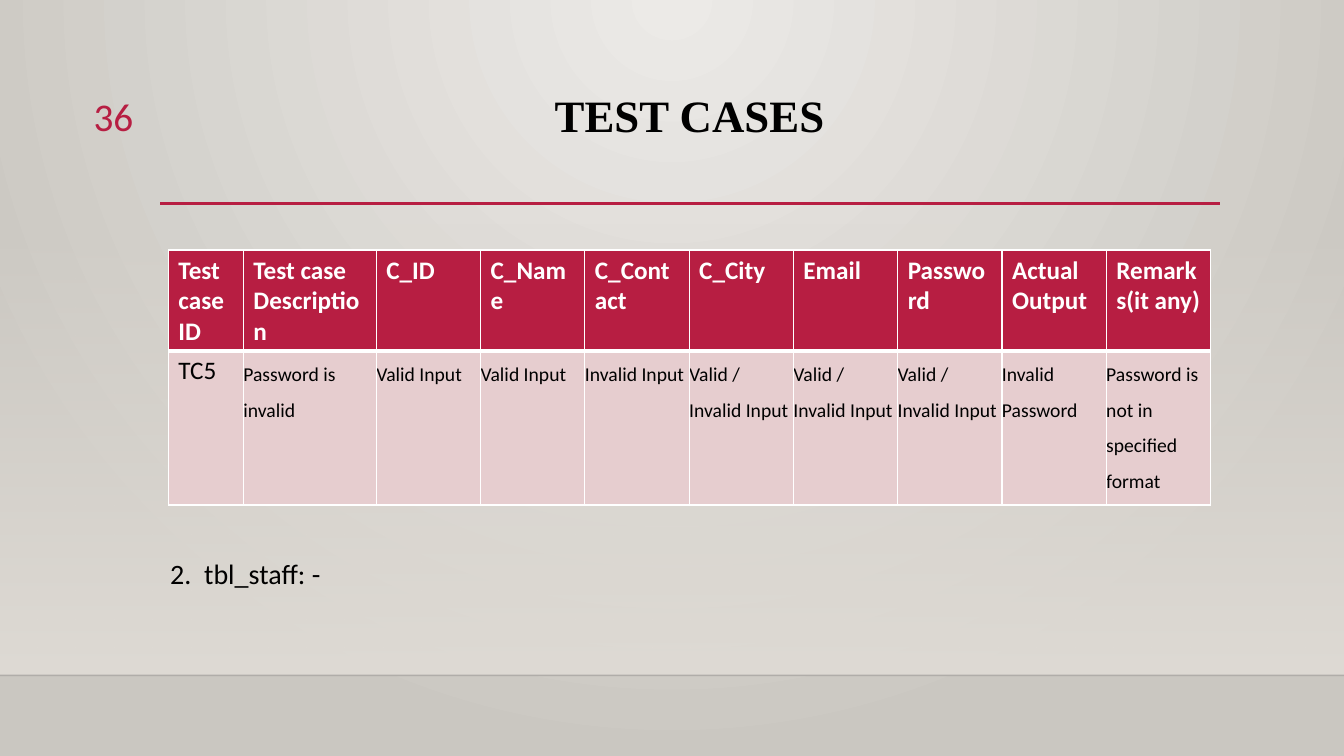
from pptx import Presentation
from pptx.dml.color import RGBColor
from pptx.enum.shapes import MSO_CONNECTOR, MSO_SHAPE
from pptx.enum.text import PP_ALIGN
from pptx.oxml import parse_xml
from pptx.oxml.ns import nsdecls
from pptx.util import Inches, Pt
from lxml.etree import SubElement

WIDTH, HEIGHT = Inches(13.33), Inches(7.5)
ACCENT, PALE, WHITE, BLACK = "B71E42", "E6CDCF", "FFFFFF", "000000"
HEADERS = ["Test case ID", "Test case Description", "C_ID", "C_Name", "C_Contact",
           "C_City", "Email", "Password", "Actual Output", "Remarks(it any)"]
RESULTS = ["TC5", "Password is invalid", "Valid Input", "Valid Input", "Invalid Input",
           *["Valid / Invalid Input"] * 3, "Invalid Password",
           "Password is not in specified format"]
COLUMNS = [5.58, 9.89] + [7.76] * 8
ROWS = [11.87, 20.4]


def across(share):
    return round(WIDTH * share / 100)


def down(share):
    return round(HEIGHT * share / 100)


def box(x, y, w, h):
    return across(x), down(y), across(w), down(h)


def color(value):
    return RGBColor.from_string(value)


def set_attributes(target, values):
    for name, value in values.items():
        setattr(target, name, value)


def set_gradient(solid, stops, direction):
    marks = "".join(
        f'<a:gs pos="{pos * 1000}"><a:srgbClr val="{value}">'
        f'<a:alpha val="{alpha * 1000}"/></a:srgbClr></a:gs>'
        for pos, value, alpha in stops)
    gradient = parse_xml(f'<a:gradFill {nsdecls("a")} rotWithShape="1">'
                         f'<a:gsLst>{marks}</a:gsLst>{direction}</a:gradFill>')
    solid.getparent().replace(solid, gradient)


def write(tf, text, font, align=PP_ALIGN.LEFT, spacing=1.0):
    tf.word_wrap = True
    p = tf.paragraphs[0]
    set_attributes(p, {"alignment": align, "line_spacing": spacing})
    r = p.add_run()
    r.text = text
    values = {"name": "Calibri", **font}
    r.font.color.rgb = color(values.pop("color"))
    set_attributes(r.font, values)


def add_text(s, place, text, font, **layout):
    write(s.shapes.add_textbox(*place).text_frame, text, font, **layout)


def add_line(s, x1, x2, y, value, width, opacity=100):
    line = s.shapes.add_connector(MSO_CONNECTOR.STRAIGHT, across(x1), down(y),
                                  across(x2), down(y))
    line.line.color.rgb = color(value)
    line.line.width = Pt(width)
    tint = line.element.xpath("./p:spPr/a:ln//a:srgbClr")[0]
    SubElement(tint, tint.tag.replace("srgbClr", "alpha"), val=str(opacity * 1000))
    line.element.spPr.append(parse_xml(f'<a:effectLst {nsdecls("a")}/>'))


def add_backdrop(s):
    s.background.fill.solid()
    s.background.fill.fore_color.rgb = color(WHITE)
    set_gradient(s.element.xpath(".//p:bgPr/a:solidFill")[0],
                 [(0, "ECEAE7", 100), (100, "CAC7C1", 100)],
                 '<a:path path="circle"><a:fillToRect l="43000" t="0" '
                 'r="43000" b="100000"/></a:path>')
    sp = s.shapes.add_shape(MSO_SHAPE.RECTANGLE, *box(0, 29.47, 100, 59.87))
    sp.shadow.inherit = False
    sp.line.fill.background()
    sp.fill.solid()
    sp.fill.fore_color.rgb = color(WHITE)
    set_gradient(sp.element.xpath("./p:spPr/a:solidFill")[0],
                 [(0, "DFDBD5", 0), (100, "DFDBD5", 100)],
                 '<a:lin ang="5400000" scaled="0"/>')


def set_borders(cell, widths):
    tcPr = cell._tc.get_or_add_tcPr()
    for index, (side, width) in enumerate(widths.items()):
        tcPr.insert(index, parse_xml(
            f'<a:ln{side} {nsdecls("a")} w="{Pt(width)}"><a:solidFill>'
            f'<a:srgbClr val="{WHITE}"/></a:solidFill></a:ln{side}>'))


def fill_cell(cell, text, fill, font, widths, spacing=1.0, inset=None):
    write(cell.text_frame, text, font, spacing=spacing)
    cell.fill.solid()
    cell.fill.fore_color.rgb = color(fill)
    if inset is not None:
        sides = ("left", "top", "right", "bottom")
        set_attributes(cell, {f"margin_{side}": inset for side in sides})
    set_borders(cell, widths)


def add_case_table(s):
    place = box(12.53, 33.07, sum(COLUMNS), sum(ROWS))
    table = s.shapes.add_table(len(ROWS), len(COLUMNS), *place).table
    for row, share in zip(table.rows, ROWS):
        row.height = down(share)
    head = {"size": Pt(18), "bold": True, "color": WHITE}
    key = {"size": Pt(18), "bold": False, "color": BLACK}
    for i, share in enumerate(COLUMNS):
        table.columns[i].width = across(share)
        fill_cell(table.cell(0, i), HEADERS[i], ACCENT, head,
                  {"L": 1, "R": 1, "T": 1, "B": 3})
        layout = {"spacing": 1.5, "inset": 0} if i else {}
        font = {**key, "size": Pt(14)} if i else key
        fill_cell(table.cell(1, i), RESULTS[i], PALE, font,
                  {"L": 1, "R": 1, "T": 3, "B": 1}, **layout)


def main():
    prs = Presentation()
    set_attributes(prs, {"slide_width": WIDTH, "slide_height": HEIGHT})
    s = prs.slides.add_slide(prs.slide_layouts[6])
    add_backdrop(s)
    add_line(s, 0, 100, 89.33, "000001", 1, opacity=20)
    add_line(s, 11.93, 90.77, 26.93, ACCENT, 2.5)
    add_text(s, box(11.93, 11.73, 78.77, 15.33), "TEST CASES",
             {"name": "Times New Roman", "size": Pt(32), "bold": True, "color": BLACK},
             align=PP_ALIGN.CENTER, spacing=0.9)
    add_text(s, box(11.93, 72.13, 78.77, 8), "2.  tbl_staff: -",
             {"size": Pt(20), "color": BLACK}, spacing=1.2)
    add_text(s, box(3.98, 11.6, 6.68, 7.33), "36",
             {"size": Pt(28), "color": ACCENT}, align=PP_ALIGN.RIGHT)
    add_case_table(s)
    prs.save("out.pptx")


if __name__ == "__main__":
    main()
